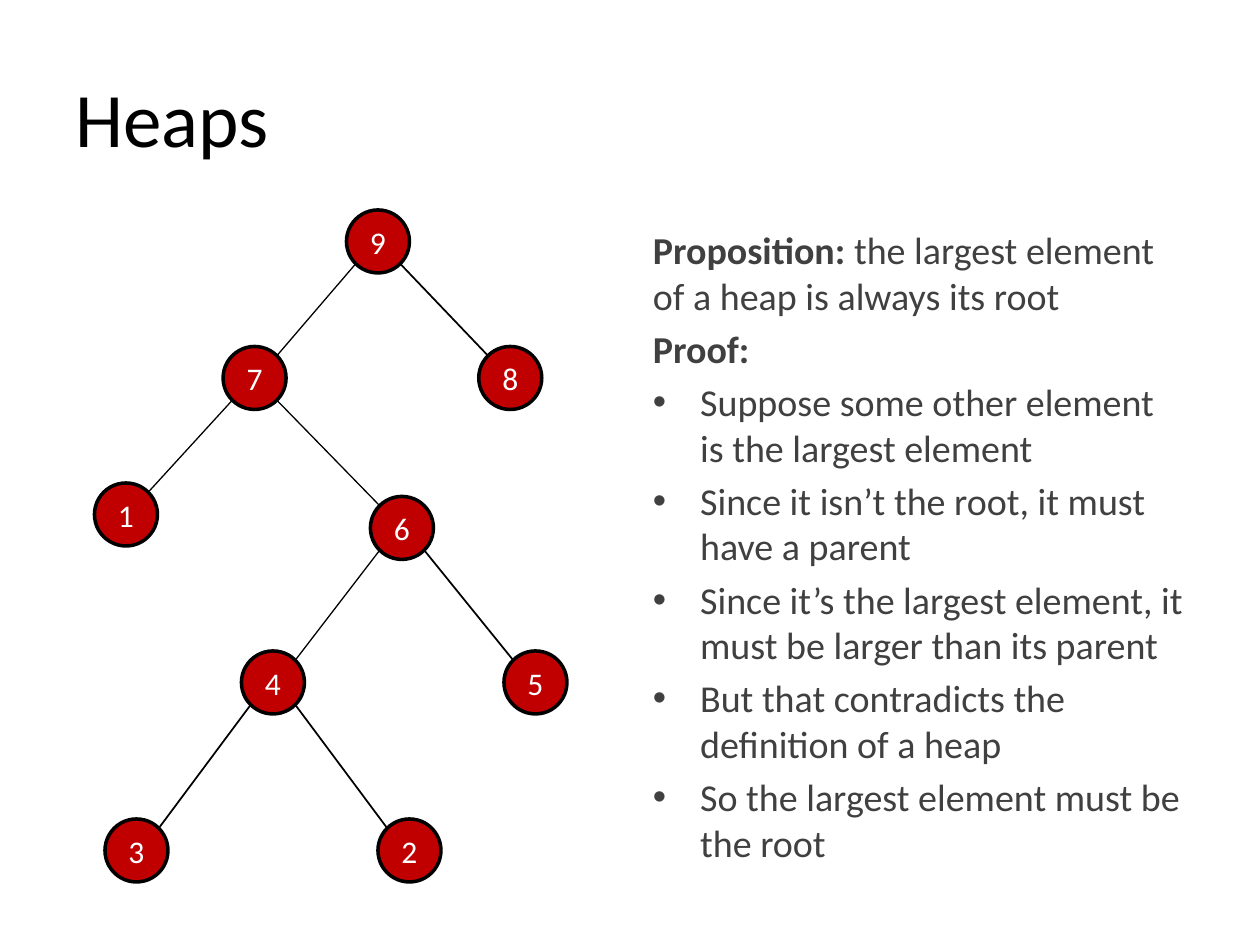
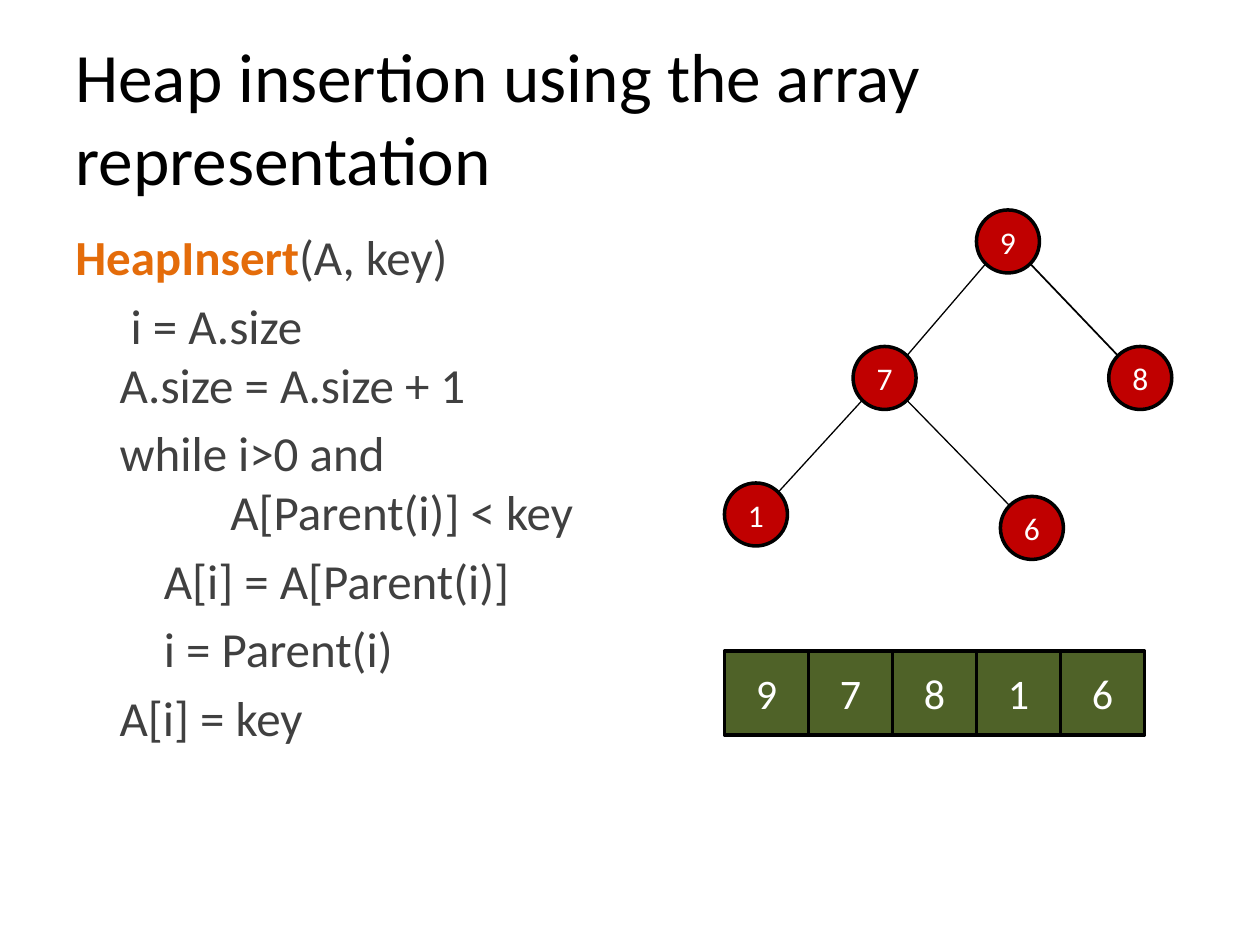
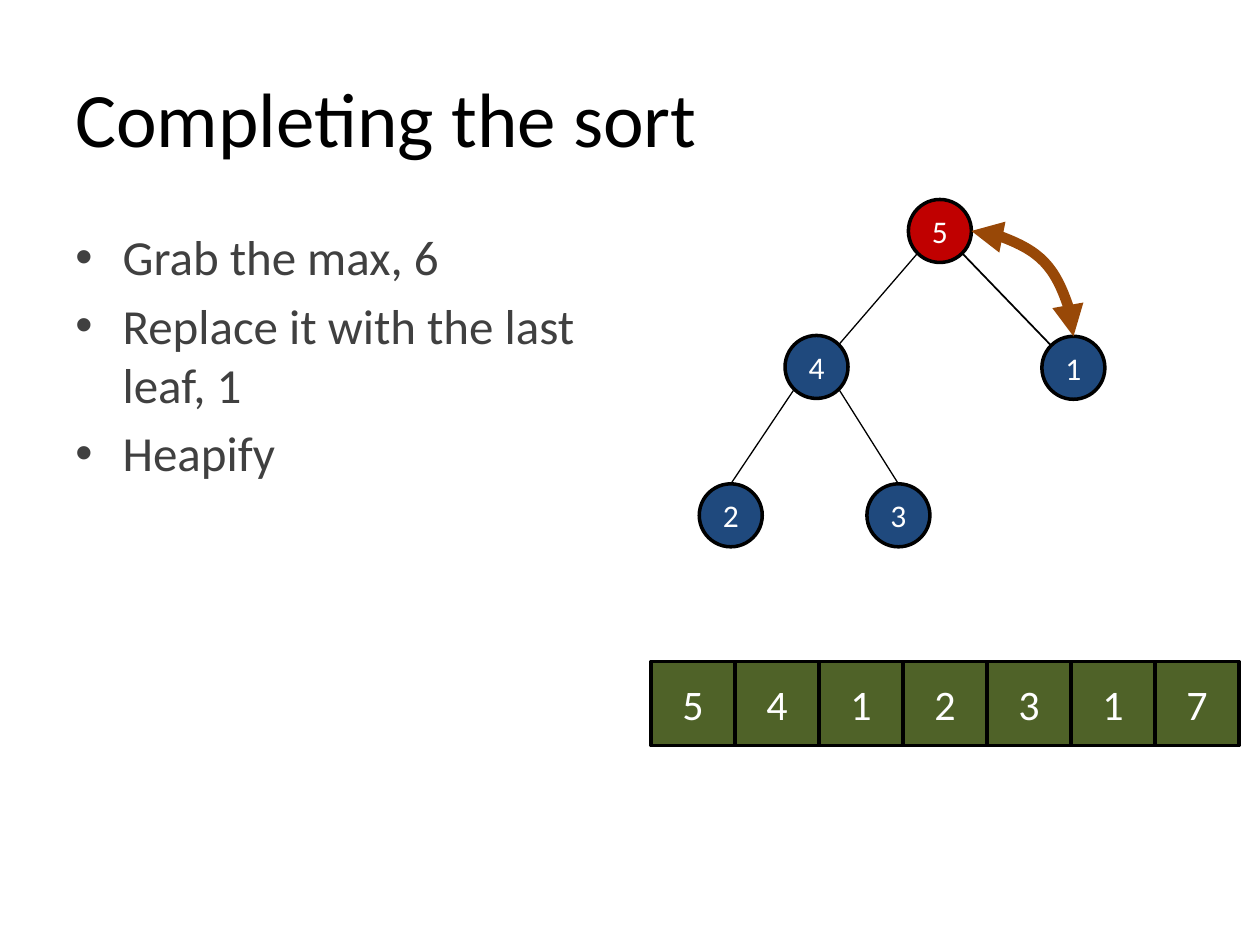
from pptx import Presentation
from pptx.dml.color import RGBColor
from pptx.enum.shapes import MSO_CONNECTOR as LINK, MSO_SHAPE as SHAPE
from pptx.enum.text import MSO_ANCHOR as ANCHOR, PP_ALIGN as ALIGN
from pptx.oxml.ns import qn
from pptx.util import Pt
from lxml.etree import SubElement as Sub

# Shared style
FONT = "Calibri"
BLACK = RGBColor(0x00, 0x00, 0x00)
WHITE = RGBColor(0xFF, 0xFF, 0xFF)
GREY = RGBColor(0x40, 0x40, 0x40)
RED = RGBColor(0xC0, 0x00, 0x00)
BLUE = RGBColor(0x1F, 0x49, 0x7D)
GREEN = RGBColor(0x4F, 0x62, 0x28)
ORANGE = RGBColor(0xE4, 0x6C, 0x0A)
BROWN = RGBColor(0x98, 0x48, 0x07)

NODE, CELL = 36, 48
RAD = NODE / 2
DIAG = RAD * 0.707
BODY = 28
STEP = 25.3  # one level of code indent
DOT = (27, -27, "•")

# Nodes: label, centre x, centre y, parent, edge width, fill
heap = [
    ("9", 216, 138, None, 0, RED),
    ("7", 145.5, 216, "9", 0.75, RED),
    ("8", 291.6, 216, "9", 1, RED),
    ("1", 72, 294, "7", 0.75, RED),
    ("6", 229.7, 301.7, "7", 0.75, RED),
    ("4", 156, 390, "6", 0.75, RED),
    ("5", 306, 390, "6", 1, RED),
    ("3", 78, 486, "4", 1, RED),
    ("2", 234, 486, "4", 1, RED),
]
part = [(tag, x + 360, *rest) for tag, x, *rest in heap[:5]]
sort = [
    ("5", 537.1, 132, None, 0, RED),
    ("4", 466.6, 209.7, "5", 0.75, BLUE),
    ("1", 613.4, 210.2, "5", 1, BLUE),
    ("2", 417.6, 294.5, "4", 0.75, BLUE),
    ("3", 513.4, 294.5, "4", 0.75, BLUE),
]

# Body lines: (left margin, first-line indent, bullet), bold lead, text
proof = [
    ((0, 0, ""), "Proposition: ", "the largest element of a heap is always its root"),
    ((0, 0, ""), "Proof:", ""),
    (DOT, "", "Suppose some other element is the largest element"),
    (DOT, "", "Since it isn’t the root, it must have a parent"),
    (DOT, "", "Since it’s the largest element, it must be larger than its parent"),
    (DOT, "", "But that contradicts the definition of a heap"),
    (DOT, "", "So the largest element must be the root"),
]
code = [
    ((0, 0, ""), "HeapInsert", "(A, key)"),
    ((STEP, 6.3, ""), "", "i = A.size\vA.size = A.size + 1"),
    ((3.5 * STEP, -2.5 * STEP, ""), "", "while i>0 and\vA[Parent(i)] < key"),
    ((2 * STEP, 0, ""), "", "A[i] = A[Parent(i)]"),
    ((2 * STEP, 0, ""), "", "i = Parent(i)"),
    ((STEP, 0, ""), "", "A[i] = key"),
]
steps = [
    (DOT, "", "Grab the max, 6"),
    (DOT, "", "Replace it with the last leaf, 1"),
    (DOT, "", "Heapify"),
]

# Slides: title, title size, body box, body size, lead colour, lines,
# nodes, labels joined at the top, array labels, array corner
pages = [
    ("Heaps", 44, (366, 126, 318, 402), 21.7, GREY, proof,
     heap, "", "", (0, 0)),
    ("Heap insertion using the array representation", 39.6,
     (36, 126, 354, 330), BODY, ORANGE, code,
     part, "", "97816", (414, 372)),
    ("Completing the sort", 44, (36, 126, 318, 408), BODY, GREY, steps,
     sort, "23", "5412317", (372, 378)),
]


def ink(run, size, color, bold=False):
    font = run.font
    font.name, font.size, font.bold = FONT, Pt(size), bold
    font.color.rgb = color


def mark(slide, kind, x, y, side, label, size, fill):
    shape = slide.shapes.add_shape(kind, Pt(x), Pt(y), Pt(side), Pt(side))
    shape.shadow.inherit = False
    shape.fill.solid()
    shape.fill.fore_color.rgb = fill
    shape.line.color.rgb = BLACK
    shape.line.width = Pt(2)
    frame = shape.text_frame
    frame.text = label
    frame.vertical_anchor = ANCHOR.MIDDLE
    frame.paragraphs[0].alignment = ALIGN.CENTER
    ink(frame.paragraphs[0].runs[0], size, WHITE)


deck = Presentation()
deck.slide_width, deck.slide_height = Pt(720), Pt(540)

for title, big, box, size, tint, lines, nodes, tops, cells, corner in pages:
    slide = deck.slides.add_slide(deck.slide_layouts[6])

    # Title
    frame = slide.shapes.add_textbox(Pt(36), Pt(21.6), Pt(648), Pt(90)).text_frame
    frame.word_wrap = True
    frame.vertical_anchor = ANCHOR.MIDDLE
    frame.text = title
    ink(frame.paragraphs[0].runs[0], big, BLACK)

    # Body text
    frame = slide.shapes.add_textbox(*map(Pt, box)).text_frame
    frame.word_wrap = True
    for i, ((left, indent, dot), lead, text) in enumerate(lines):
        para = frame.add_paragraph() if i else frame.paragraphs[0]
        para.text = text
        para.space_before = Pt(size * 0.2)
        for run in para.runs:
            ink(run, size, GREY)
        if lead:
            para.text = lead
            ink(para.runs[0], size, tint, True)
            if text:
                run = para.add_run()
                run.text = text
                ink(run, size, GREY)
        props = para._p.get_or_add_pPr()
        props.set("marL", str(Pt(left)))
        props.set("indent", str(Pt(indent)))
        if dot:
            Sub(props, qn("a:buFont")).set("typeface", "Arial")
            Sub(props, qn("a:buChar")).set("char", dot)

    # Tree edges
    spot = {tag: (x, y) for tag, x, y, *_ in nodes}
    for tag, x, y, up, width, _ in nodes:
        if not up:
            continue
        px, py = spot[up]
        dx = DIAG if x > px else -DIAG
        end = (x, y - RAD) if tag in tops else (x - dx, y - DIAG)
        edge = slide.shapes.add_connector(
            LINK.STRAIGHT, Pt(px + dx), Pt(py + DIAG), *map(Pt, end))
        edge.line.color.rgb = BLACK
        edge.line.width = Pt(width)
        Sub(edge._element.spPr, qn("a:effectLst"))

    # Tree nodes
    for tag, x, y, _, _, fill in nodes:
        mark(slide, SHAPE.OVAL, x - RAD, y - RAD, NODE, tag, 18, fill)

    # Array cells
    left, top = corner
    for i, label in enumerate(cells):
        mark(slide, SHAPE.RECTANGLE, left + i * CELL, top, CELL, label, 24, GREEN)

# Swap arrow between the root and the last leaf
(_, rx, ry, *_), (_, lx, ly, *_) = sort[0], sort[2]
swap = slide.shapes.add_connector(
    LINK.CURVE, Pt(rx + RAD), Pt(ry), Pt(lx), Pt(ly - RAD))
swap.line.color.rgb = BROWN
swap.line.width = Pt(6)
props = swap._element.spPr
props.find(qn("a:prstGeom")).set("prst", "curvedConnector2")
for end in ("a:headEnd", "a:tailEnd"):
    Sub(props.find(qn("a:ln")), qn(end)).set("type", "triangle")
Sub(props, qn("a:effectLst"))

deck.save("out.pptx")
